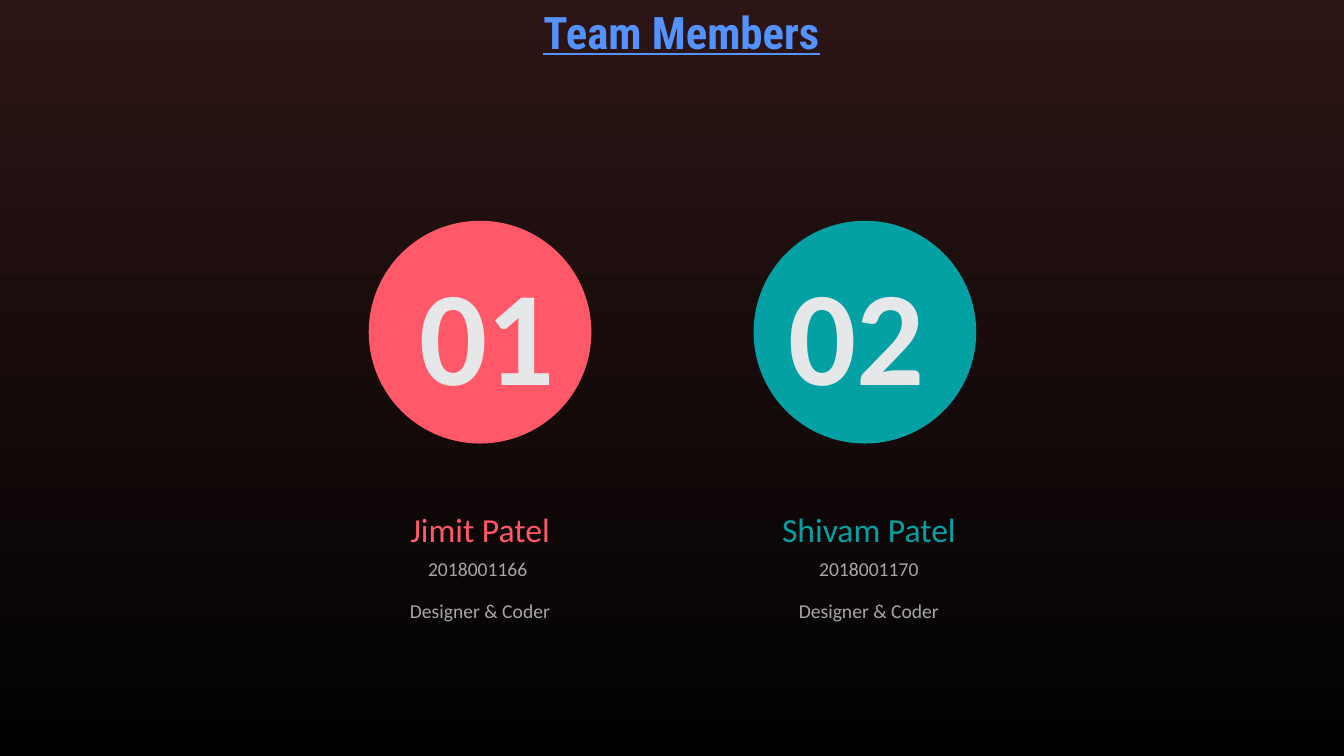
from pptx import Presentation
from pptx.dml.color import RGBColor
from pptx.enum import shapes, text
from pptx.util import Inches, Pt

COLORS = {
    "top": "2D1515",
    "bottom": "010101",
    "title": "5493FF",
    "coral": "FF5969",
    "teal": "03A1A4",
    "number": "E6E7E9",
    "detail": "A6A6A6",
}
COLUMN_WIDTH = 3.33
CIRCLE_SIZE = 2.21
MEMBERS = [
    {"left": 3.1, "number": "01", "name": "Jimit Patel", "code": "2018001166 ",
     "color": "coral", "circle_shift": 0, "number_shift": 0.07},
    {"left": 6.96, "number": "02", "name": "Shivam Patel", "code": "2018001170",
     "color": "teal", "circle_shift": -0.04, "number_shift": -0.12},
]


def write(box, words, size, color, font="Calibri", bold=False, underline=False):
    """Put one centred, formatted line of text in a box."""
    frame = box.text_frame
    frame.word_wrap = True
    frame.auto_size = text.MSO_AUTO_SIZE.NONE
    frame.vertical_anchor = text.MSO_ANCHOR.TOP
    para = frame.paragraphs[0]
    para.alignment = text.PP_ALIGN.CENTER
    para.line_spacing = 1.0
    para.space_before = Pt(0)
    span = para.add_run()
    span.text = words
    span.font.name = font
    span.font.size = Pt(size)
    span.font.bold = bold
    span.font.underline = underline
    span.font.color.rgb = RGBColor.from_string(COLORS[color])


def paint_background(page):
    """Fill the page with a gradient from top to bottom."""
    fill = page.background.fill
    fill.gradient()
    fill.gradient_angle = 270
    for stop, name in zip(fill.gradient_stops, ("top", "bottom")):
        stop.color.rgb = RGBColor.from_string(COLORS[name])


def add_title(page, left, top, width, height):
    """Place and format the page title."""
    title = page.shapes.title
    title.left, title.top = Inches(left), Inches(top)
    title.width, title.height = Inches(width), Inches(height)
    write(title, "Team Members", 32, "title", font="Roboto Condensed",
          bold=True, underline=True)


def add_member(page, member, left, top, width):
    """Draw a numbered circle with a member's details below it."""
    center = left + width / 2
    circle = page.shapes.add_shape(
        shapes.MSO_SHAPE.OVAL,
        Inches(center + member["circle_shift"] - CIRCLE_SIZE / 2), Inches(top),
        Inches(CIRCLE_SIZE), Inches(CIRCLE_SIZE))
    circle.shadow.inherit = False
    circle.fill.solid()
    circle.fill.fore_color.rgb = RGBColor.from_string(COLORS[member["color"]])
    circle.line.fill.background()

    lines = [
        (member["number"], 0.25, 1.7, 96, "number", member["number_shift"]),
        (member["name"], 2.81, 0.5, 24, member["color"], 0),
        (member["code"], 3.29, 0.34, 14, "detail", 0),
        ("Designer & Coder", 3.7, 0.34, 14, "detail", 0),
    ]
    for words, drop, height, size, color, shift in lines:
        box = page.shapes.add_textbox(Inches(left + shift), Inches(top + drop),
                                      Inches(width), Inches(height))
        write(box, words, size, color, bold=color == "number")


def main():
    """Build and save the team page."""
    deck = Presentation()
    deck.slide_width, deck.slide_height = Inches(13.34), Inches(7.5)
    page = deck.slides.add_slide(deck.slide_layouts[5])
    paint_background(page)
    add_title(page, 4.12, 0, 5.29, 0.64)
    for member in MEMBERS:
        add_member(page, member, member["left"], 2.19, COLUMN_WIDTH)
    deck.save("out.pptx")


if __name__ == "__main__":
    main()
